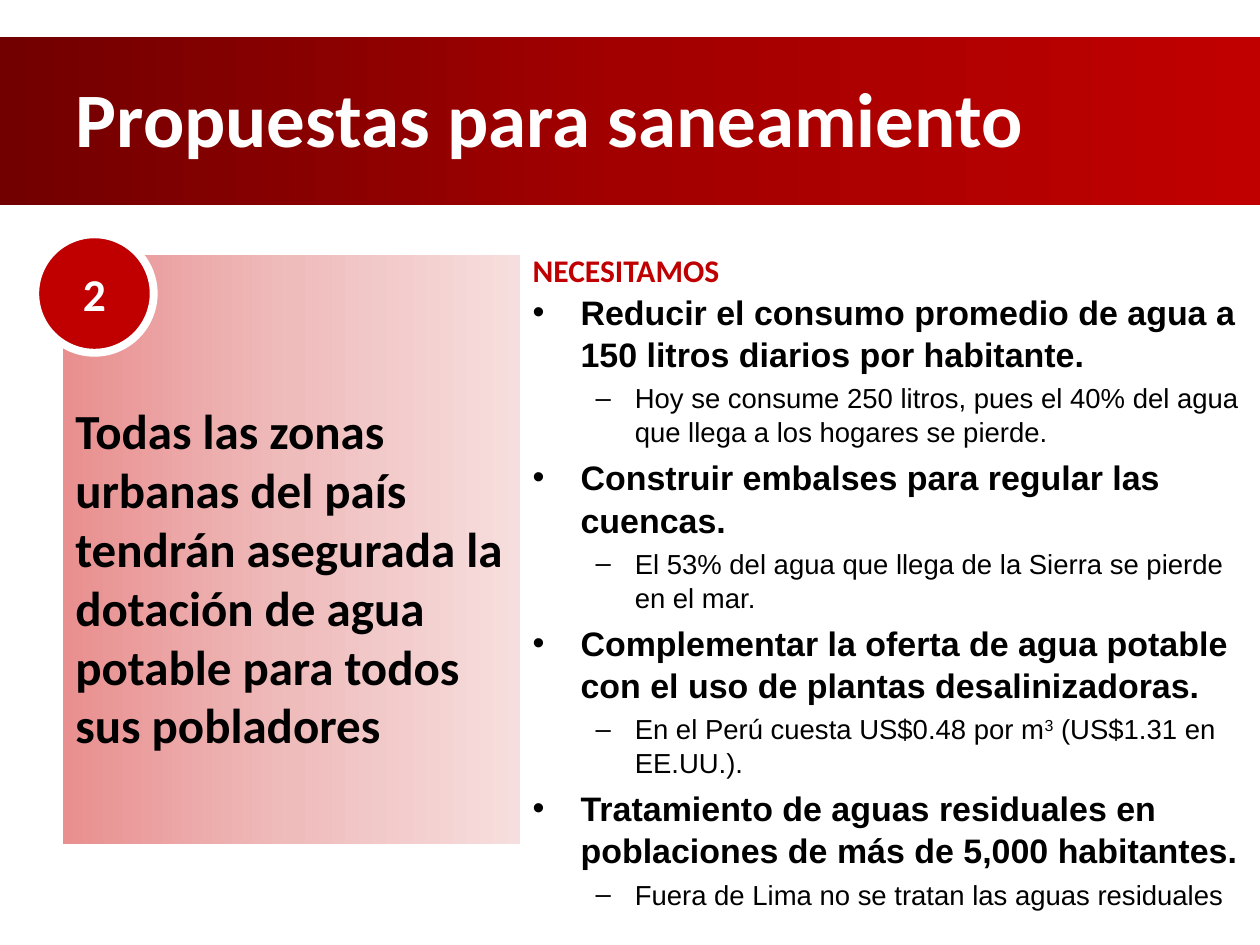
from copy import deepcopy

from lxml import etree
from pptx import Presentation
from pptx.dml.color import RGBColor
from pptx.enum import shapes, text
from pptx.oxml.ns import qn
from pptx.util import Inches, Pt

WHITE = RGBColor(0xFF, 0xFF, 0xFF)
BLACK = RGBColor(0, 0, 0)
RED = RGBColor(0xC0, 0, 0)
BAND_COLORS = [RGBColor(0x72, 0, 0), RGBColor(0xA2, 0, 0), RED]
PANEL_COLORS = [RGBColor(0xE9, 0x8F, 0x8F), RGBColor(0xEF, 0xBC, 0xBC),
                RGBColor(0xF7, 0xDE, 0xDE)]

# Each proposal: main point and its detail; ^ encloses a superscript
PROPOSALS = [
    ("Reducir el consumo promedio de agua a 150 litros diarios por habitante.",
     "Hoy se consume 250 litros, pues el 40% del agua que llega a los hogares se pierde."),
    ("Construir embalses para regular las cuencas.",
     "El 53% del agua que llega de la Sierra se pierde en el mar."),
    ("Complementar la oferta de agua potable con el uso de plantas desalinizadoras.",
     "En el Perú cuesta US$0.48 por m^3^ (US$1.31 en EE.UU.)."),
    ("Tratamiento de aguas residuales en poblaciones de más de 5,000 habitantes.",
     "Fuera de Lima no se tratan las aguas residuales"),
]
# Per level: bullet, left margin, hanging indent, size, bold
LEVELS = [("•", 0.38, -0.38, 19.4, True), ("–", 0.81, -0.31, 15.7, False)]


def format_font(font, name, size, color, bold=True):
    font.name, font.size, font.bold = name, Pt(size), bold
    font.color.rgb = color


def add_gradient_box(left, top, width, height, colors):
    shape = slide.shapes.add_shape(shapes.MSO_SHAPE.RECTANGLE, Inches(left),
                                   Inches(top), Inches(width), Inches(height))
    shape.shadow.inherit = False
    shape.line.fill.background()
    shape.fill.gradient()
    shape.fill.gradient_angle = 0
    stop_list = shape._element.spPr.find(".//" + qn("a:gsLst"))
    stop_list.append(deepcopy(stop_list[0]))
    for stop, position, color in zip(shape.fill.gradient_stops, (0, 0.5, 1), colors):
        stop.position = position
        stop.color.rgb = color
    return shape


presentation = Presentation()
presentation.slide_width, presentation.slide_height = Inches(10), Inches(7.5)
slide = presentation.slides.add_slide(presentation.slide_layouts[5])

# Title over the red band
title = slide.shapes.title
title.left, title.top, title.width, title.height = (
    Inches(0.5), Inches(0.3), Inches(9), Inches(1.25))
title.text_frame.text = "Propuestas para saneamiento"
title.text_frame.vertical_anchor = text.MSO_ANCHOR.MIDDLE
paragraph = title.text_frame.paragraphs[0]
paragraph.alignment = text.PP_ALIGN.LEFT
format_font(paragraph.runs[0].font, "Calibri", 44, WHITE)
band = add_gradient_box(0, 0.29, 10, 1.34, BAND_COLORS)
title._element.addprevious(band._element)

# Goal panel
panel = add_gradient_box(0.5, 2.02, 3.63, 4.68, PANEL_COLORS)
frame = panel.text_frame
frame.text = ("Todas las zonas urbanas del país tendrán asegurada la "
              "dotación de agua potable para todos sus pobladores")
frame.vertical_anchor = text.MSO_ANCHOR.TOP
frame.margin_top = Inches(1.16)
frame.paragraphs[0].alignment = text.PP_ALIGN.LEFT
format_font(frame.paragraphs[0].runs[0].font, "Calibri", 28, BLACK)

# Proposals with their details
box = slide.shapes.add_textbox(Inches(4.13), Inches(2.25), Inches(5.87), Inches(4.49))
frame = box.text_frame
frame.word_wrap = True
for index, proposal in enumerate(PROPOSALS):
    for level, content in enumerate(proposal):
        bullet, margin, indent, size, bold = LEVELS[level]
        first = index == 0 and level == 0
        paragraph = frame.paragraphs[0] if first else frame.add_paragraph()
        paragraph.level = level
        paragraph.space_before = Pt(size * 0.2)
        paragraph.line_spacing = 1.04
        properties = paragraph._p.get_or_add_pPr()
        properties.set("marL", str(Inches(margin)))
        properties.set("indent", str(Inches(indent)))
        etree.SubElement(properties, qn("a:buFont")).set("typeface", "Arial")
        etree.SubElement(properties, qn("a:buChar")).set("char", bullet)
        for part, piece in enumerate(content.split("^")):
            run = paragraph.add_run()
            run.text = piece
            format_font(run.font, "Arial", size, BLACK, bold)
            if part % 2:
                run.font._element.set("baseline", "30000")

# Number badge
badge = slide.shapes.add_shape(shapes.MSO_SHAPE.OVAL, Inches(0.28), Inches(1.86),
                               Inches(0.94), Inches(0.94))
badge.shadow.inherit = False
badge.fill.solid()
badge.fill.fore_color.rgb = RED
badge.line.color.rgb = WHITE
badge.line.width = Pt(4.5)
badge.text_frame.text = "2"
badge.text_frame.vertical_anchor = text.MSO_ANCHOR.MIDDLE
badge.text_frame.paragraphs[0].alignment = text.PP_ALIGN.CENTER
format_font(badge.text_frame.paragraphs[0].runs[0].font, "Calibri", 26, WHITE)

# Heading of the proposals
heading = slide.shapes.add_textbox(Inches(4.13), Inches(1.94), Inches(2.44), Inches(0.4))
heading.text_frame.word_wrap = True
heading.text_frame.text = "NECESITAMOS"
format_font(heading.text_frame.paragraphs[0].runs[0].font, "Calibri", 18, RED)

presentation.save("out.pptx")
